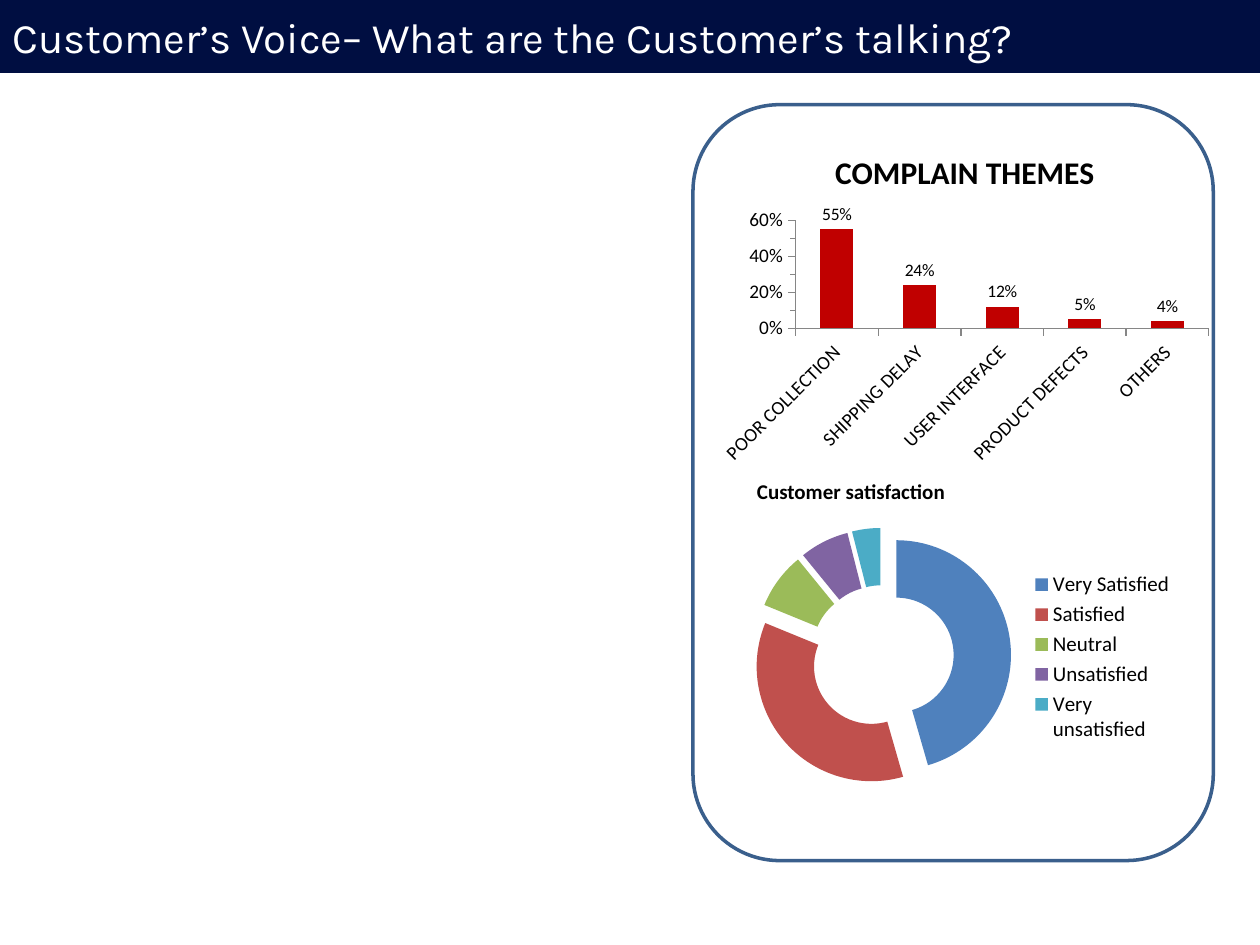
"""Build a customer feedback slide with complaint and satisfaction charts."""
import pptx
import pptx.chart.data
import pptx.dml.color
import pptx.enum.chart
import pptx.enum.shapes
import pptx.enum.text
import pptx.oxml
import pptx.oxml.ns
import pptx.util
from pptx.util import Cm

COLORS = {
    "navy": "000E41", "white": "FFFFFF", "black": "000000",
    "bar": "C00000", "frame": "3A5F8C", "axis": "868686",
}
SATISFACTION = {
    "Very Satisfied": (46, "4F81BD"),
    "Satisfied": (36, "C0504D"),
    "Neutral": (8, "9BBB59"),
    "Unsatisfied": (7, "8064A2"),
    "Very unsatisfied": (4, "4BACC6"),
}
COMPLAINTS = {
    "POOR COLLECTION": 0.55, "SHIPPING DELAY": 0.24, "USER INTERFACE": 0.12,
    "PRODUCT DEFECTS": 0.05, "OTHERS": 0.04,
}


def rgb(value):
    return pptx.dml.color.RGBColor.from_string(value)


def style_font(font, size, color="black", name="Calibri", bold=False):
    values = {"size": pptx.util.Pt(size), "name": name, "bold": bold}
    for key, value in values.items():
        setattr(font, key, value)
    font.color.rgb = rgb(COLORS[color])


deck = pptx.Presentation()
deck.slide_width, deck.slide_height = Cm(25.4), Cm(19.05)
page = deck.slides.add_slide(deck.slide_layouts[5])

title = page.shapes.title
title_place = {"left": 0, "top": 0, "width": deck.slide_width, "height": Cm(1.47)}
for key, value in title_place.items():
    setattr(title, key, value)
title.fill.solid()
title.fill.fore_color.rgb = rgb(COLORS["navy"])
title_frame = title.text_frame
title_frame.text = "Customer’s Voice– What are the Customer’s talking?"
title_frame.vertical_anchor = pptx.enum.text.MSO_ANCHOR.MIDDLE
title_frame.auto_size = pptx.enum.text.MSO_AUTO_SIZE.NONE
title_para = title_frame.paragraphs[0]
title_para.alignment = pptx.enum.text.PP_ALIGN.LEFT
style_font(title_para.runs[0].font, 24, "white", "Karla")

satisfaction_data = pptx.chart.data.CategoryChartData()
satisfaction_data.categories = list(SATISFACTION)
satisfaction_data.add_series("Series 1", [share for share, color in SATISFACTION.values()])
doughnut = page.shapes.add_chart(
    pptx.enum.chart.XL_CHART_TYPE.DOUGHNUT_EXPLODED,
    Cm(14.83), Cm(10.21), Cm(9.09), Cm(6.07), satisfaction_data).chart
style_font(doughnut.font, 18)
doughnut.has_title = False
doughnut.has_legend = True
doughnut.legend.position = pptx.enum.chart.XL_LEGEND_POSITION.RIGHT
doughnut.legend.include_in_layout = False
style_font(doughnut.legend.font, 12)
ring = doughnut.plots[0]
ring.vary_by_categories = True
ring.has_data_labels = False
ring_series = ring.series[0]
for index, (share, color) in enumerate(SATISFACTION.values()):
    slice_fill = ring_series.points[index].format.fill
    slice_fill.solid()
    slice_fill.fore_color.rgb = rgb(color)
series_xml = ring_series._element
for old_explosion in series_xml.findall(pptx.oxml.ns.qn("c:explosion")):
    series_xml.remove(old_explosion)
explosion = pptx.oxml.parse_xml(
    f'<c:explosion {pptx.oxml.ns.nsdecls("c")} val="25"/>')
series_xml.find(pptx.oxml.ns.qn("c:dPt")).addprevious(explosion)

caption = page.shapes.add_textbox(Cm(15.01), Cm(9.53), Cm(6.12), Cm(0.76))
caption.text_frame.word_wrap = True
caption.text_frame.text = "Customer satisfaction"
style_font(caption.text_frame.paragraphs[0].runs[0].font, 12, bold=True)

complaint_data = pptx.chart.data.CategoryChartData(number_format="0%")
complaint_data.categories = list(COMPLAINTS)
complaint_data.add_series("COMPLAIN THEMES", list(COMPLAINTS.values()))
columns = page.shapes.add_chart(
    pptx.enum.chart.XL_CHART_TYPE.COLUMN_CLUSTERED,
    Cm(14.33), Cm(2.64), Cm(10.24), Cm(6.88), complaint_data).chart
style_font(columns.font, 18)
columns.has_legend = False
columns.has_title = True
columns.chart_title.text_frame.text = "COMPLAIN THEMES"
style_font(columns.chart_title.text_frame.paragraphs[0].runs[0].font, 18, bold=True)
column_plot = columns.plots[0]
column_plot.gap_width = 150
column_plot.vary_by_categories = False
column_fill = column_plot.series[0].format.fill
column_fill.solid()
column_fill.fore_color.rgb = rgb(COLORS["bar"])
labels = column_plot.series[0].data_labels
label_values = {
    "show_value": True, "number_format": "0%", "number_format_is_linked": False,
    "position": pptx.enum.chart.XL_LABEL_POSITION.OUTSIDE_END,
}
for key, value in label_values.items():
    setattr(labels, key, value)
style_font(labels.font, 10)

for axis in (columns.category_axis, columns.value_axis):
    axis.has_major_gridlines = False
    axis.major_tick_mark = pptx.enum.chart.XL_TICK_MARK.OUTSIDE
    axis.format.line.color.rgb = rgb(COLORS["axis"])
    axis.format.line.width = pptx.util.Pt(0.75)
    style_font(axis.tick_labels.font, 11)
columns.category_axis._element.txPr.bodyPr.set("rot", "-2700000")
scale = {
    "minimum_scale": 0, "maximum_scale": 0.6, "major_unit": 0.2, "minor_unit": 0.1,
    "minor_tick_mark": pptx.enum.chart.XL_TICK_MARK.OUTSIDE,
}
for key, value in scale.items():
    setattr(columns.value_axis, key, value)
columns.value_axis.tick_labels.number_format = "0%"
columns.value_axis.tick_labels.number_format_is_linked = False

frame = page.shapes.add_shape(
    pptx.enum.shapes.MSO_SHAPE.ROUNDED_RECTANGLE,
    Cm(13.97), Cm(2.11), Cm(10.49), Cm(15.24))
frame.shadow.inherit = False
frame.fill.background()
frame.line.color.rgb = rgb(COLORS["frame"])
frame.line.width = pptx.util.Pt(2)

deck.save("out.pptx")
